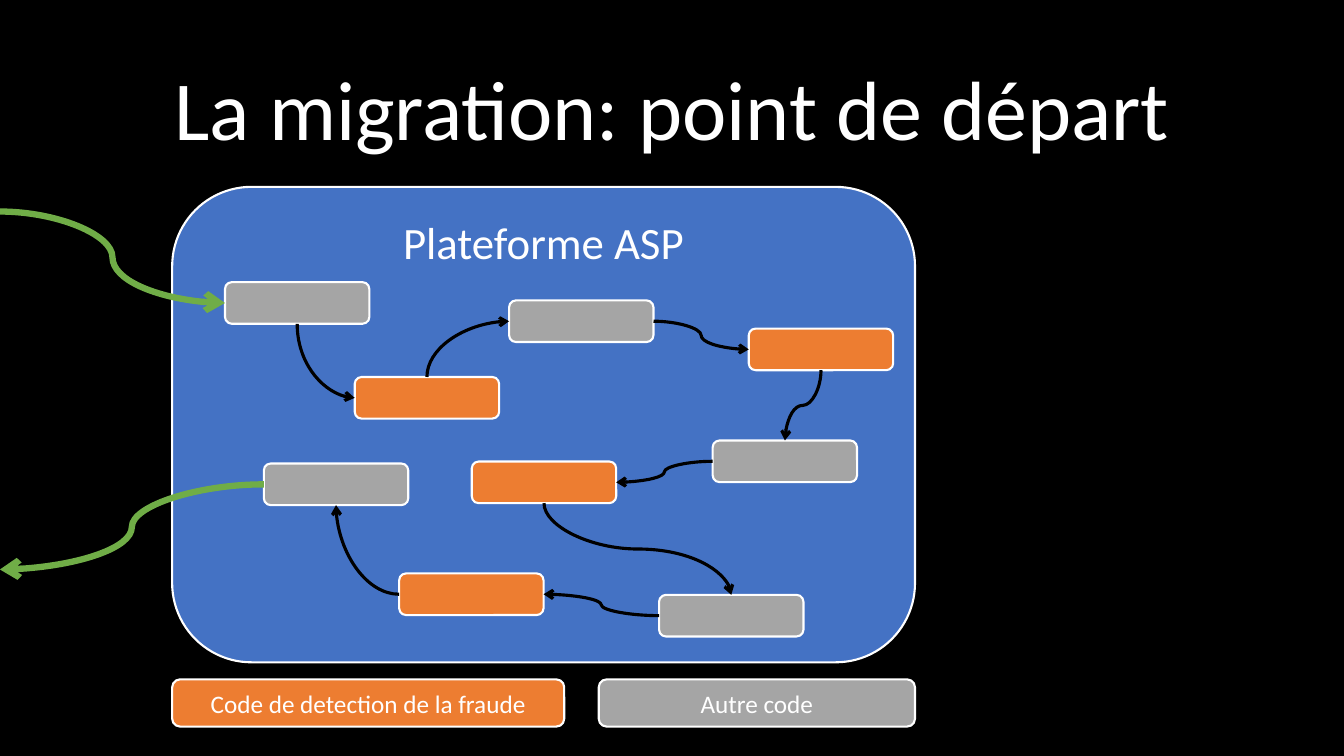
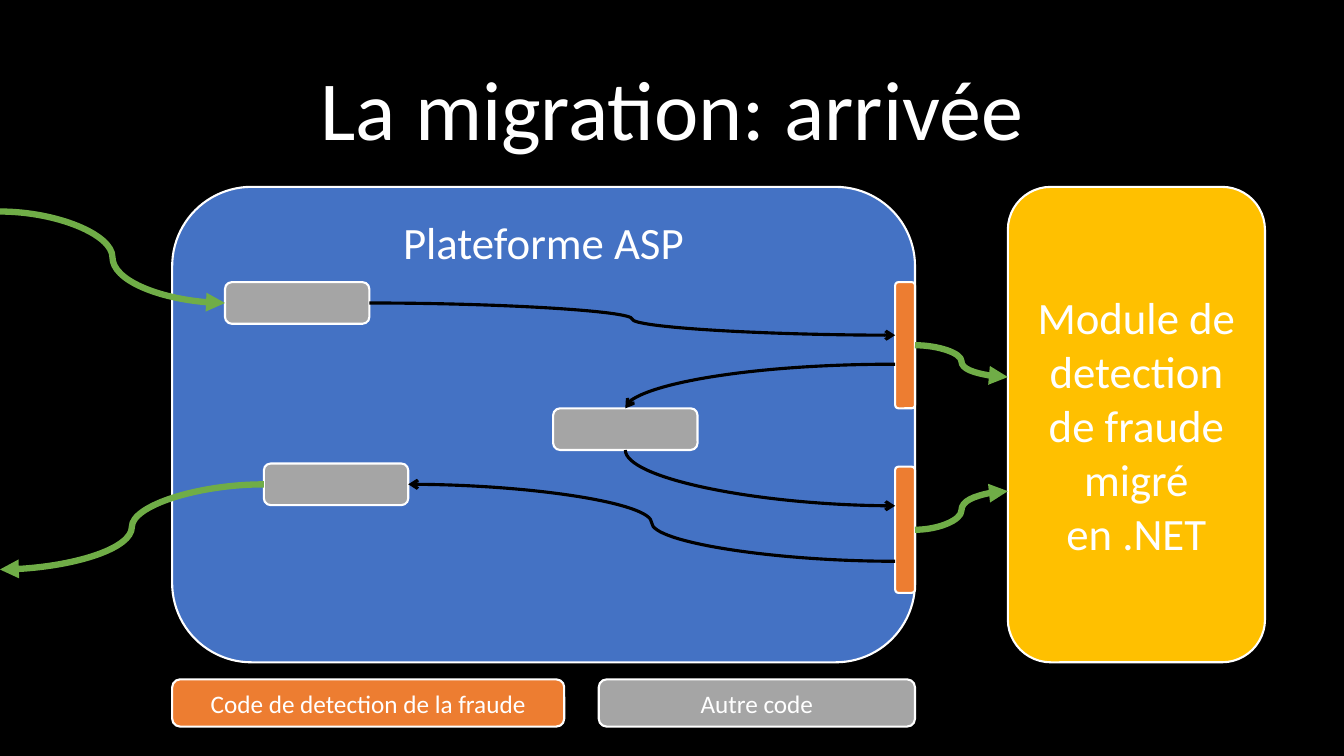
from pptx import Presentation
from pptx.dml.color import RGBColor
from pptx.enum import shapes, text
from pptx.oxml.ns import qn
from pptx.util import Cm, Pt
from lxml import etree

# Shared look
BLACK, WHITE, BLUE, FRAUD = "000000", "FFFFFF", "4472C4", "ED7D31"
OTHER, GREEN, GOLD = "A5A5A5", "70AD47", "FFC000"
FONT = "Calibri"
SIDES = "tlbr"  # order of the connection sites of a rounded box

# Shared places, in cm: left, top, width, height
TITLE = (2.33, 1.02, 29.21, 3.68)
PLAT = (4.34, 4.71, 18.72, 11.98)
MODULE = (25.4, 4.71, 6.48, 11.98)
CODE = (3.64, 1.05)
BAR = (0.5, 3.18)
FIRST, LAST = (1.33, 2.4), (2.31, 6.97)


def paint(hue):
    return RGBColor.from_string(hue)


def write(shape, words, size=32, hue=WHITE, anchor="MIDDLE", gap=1.0):
    frame = shape.text_frame
    frame.word_wrap = True
    frame.vertical_anchor = getattr(text.MSO_ANCHOR, anchor)
    para = frame.paragraphs[0]
    para.alignment = text.PP_ALIGN.CENTER
    para.line_spacing = gap
    run = para.add_run()
    run.text = words
    run.font.name, run.font.size = FONT, Pt(size)
    run.font.color.rgb = paint(hue)


def block(slide, box, hue, words="", **form):
    shape = slide.shapes.add_shape(
        shapes.MSO_SHAPE.ROUNDED_RECTANGLE, *map(Cm, box))
    shape.shadow.inherit = False
    shape.fill.solid()
    shape.fill.fore_color.rgb = paint(hue)
    shape.line.color.rgb = paint(WHITE)
    shape.line.width = Pt(1.5)
    if words:
        write(shape, words, **form)
    return shape


def place(slide, spot, size, hue):
    """Put a block at an offset inside the platform."""
    return block(slide, (PLAT[0] + spot[0], PLAT[1] + spot[1], *size), hue)


# Ends of arrows: x, y, side, and the shape to glue to
def pin(shape, side, part=0.5):
    across = {"l": 0, "r": 1}.get(side, part)
    down = {"t": 0, "b": 1}.get(side, part)
    return (int(shape.left + across * shape.width),
            int(shape.top + down * shape.height),
            side, shape if part == 0.5 else None)


def edge(top):
    return 0, Cm(top), "r", None


def link(slide, start, end, hue=BLACK, width=2.25, head="arrow"):
    ax, ay, leave, source = start
    bx, by, enter, target = end
    line = slide.shapes.add_connector(
        shapes.MSO_CONNECTOR.CURVE, ax, ay, bx, by)
    if source:
        line.begin_connect(source, SIDES.index(leave))
    if target:
        line.end_connect(target, SIDES.index(enter))
    # A curve that leaves upwards or downwards is a turned one
    props = line._element.spPr
    wide, high = abs(bx - ax), abs(by - ay)
    flips = bx < ax, by < ay
    turn = 0
    if leave in "tb":
        turn = 270 if bx > ax and by > ay else 90
        flips = (by < ay, bx > ax) if turn == 90 else (True, False)
        wide, high = high, wide
    line.left, line.top = (ax + bx - wide) // 2, (ay + by - high) // 2
    line.width, line.height = wide, high
    frame = props.find(qn("a:xfrm"))
    frame.set("rot", str(turn * 60000))
    for name, flip in zip(("flipH", "flipV"), flips):
        frame.set(name, str(int(flip)))
    bend = 3 if (leave in "lr") == (enter in "lr") else 2
    props.find(qn("a:prstGeom")).set("prst", f"curvedConnector{bend}")
    # Stroke, arrowhead, no shadow
    line.line.color.rgb = paint(hue)
    line.line.width = Pt(width)
    etree.SubElement(props.find(qn("a:ln")), qn("a:tailEnd"), type=head)
    etree.SubElement(props, qn("a:effectLst"))


def flow(slide, start, end, head):
    link(slide, start, end, hue=GREEN, width=4.5, head=head)


def base(deck, title):
    """Background, title, platform and legend."""
    slide = deck.slides.add_slide(deck.slide_layouts[6])
    slide.background.fill.solid()
    slide.background.fill.fore_color.rgb = paint(BLACK)
    write(slide.shapes.add_textbox(*map(Cm, TITLE)), title, size=60, gap=0.9)
    block(slide, PLAT, BLUE, "Plateforme ASP", anchor="TOP")
    left, top, wide, high = PLAT
    row, tall, part = top + high + 0.43, 1.19, 7.97
    block(slide, (left, row, 9.88, tall), FRAUD,
          "Code de detection de la fraude", size=18)
    block(slide, (left + wide - part, row, part, tall), OTHER,
          "Autre code", size=18)
    return slide


def ports(slide, first, last, head):
    """Green arrows into and out of the platform."""
    flow(slide, edge(5.33), pin(first, "l"), head)
    flow(slide, pin(last, "l"), edge(14.35), head)


def before(deck):
    slide = base(deck, "La migration: point de départ")
    # Code blocks in the order of the calls
    spots = [(FIRST, OTHER), ((4.6, 4.79), FRAUD), ((8.49, 2.86), OTHER),
             ((14.53, 3.57), FRAUD), ((13.62, 6.39), OTHER),
             ((7.55, 6.92), FRAUD), ((12.27, 10.28), OTHER),
             ((5.72, 9.74), FRAUD), (LAST, OTHER)]
    codes = [place(slide, spot, CODE, hue) for spot, hue in spots]
    # Calls: side left, side entered
    calls = "bl tl rl bt lr bt lr lb".split()
    for one, two, (leave, enter) in zip(codes, codes[1:], calls):
        link(slide, pin(one, leave), pin(two, enter))
    ports(slide, codes[0], codes[-1], "arrow")


def after(deck):
    slide = base(deck, "La migration: arrivée")
    first, mid, last = [place(slide, spot, CODE, OTHER)
                        for spot in (FIRST, (9.6, 5.58), LAST)]
    upper, lower = [place(slide, (PLAT[2] - BAR[0], top), BAR, FRAUD)
                    for top in (2.4, 7.05)]
    module = block(slide, MODULE, GOLD,
                   "Module de detection de fraude migré en .NET")
    # Calls inside the platform
    link(slide, pin(first, "r"), pin(upper, "l", 0.42))
    link(slide, pin(upper, "l", 0.65), pin(mid, "t"))
    link(slide, pin(mid, "b"), pin(lower, "l", 0.31))
    link(slide, pin(lower, "l", 0.75), pin(last, "r"))
    # Calls to the module
    for bar, part in ((upper, 0.4), (lower, 0.64)):
        flow(slide, pin(bar, "r"), pin(module, "l", part), "triangle")
    ports(slide, first, last, "triangle")


deck = Presentation()
deck.slide_width, deck.slide_height = Cm(33.87), Cm(19.05)
before(deck)
after(deck)
deck.save("out.pptx")
